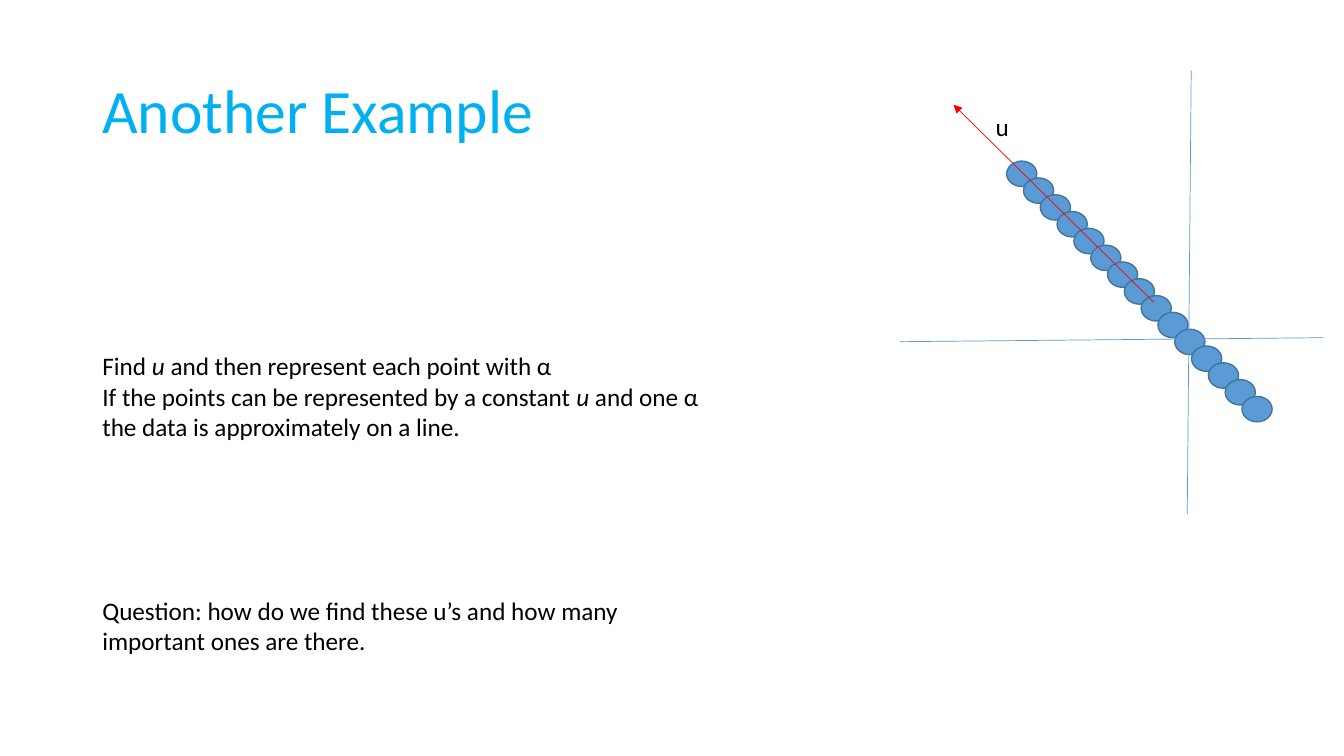
import pptx
import pptx.util
import pptx.dml.color
import pptx.enum.shapes
import pptx.enum.text
import pptx.oxml.ns
from lxml import etree

Cm = pptx.util.Cm
Pt = pptx.util.Pt


def paint(color, value):
    color.rgb = pptx.dml.color.RGBColor.from_string(value)


def write(left, top, width, height, lines, size, value):
    box = slide.shapes.add_textbox(Cm(left), Cm(top), Cm(width), Cm(height))
    frame = box.text_frame
    frame.word_wrap = True
    for row, line in enumerate(lines):
        para = frame.add_paragraph() if row else frame.paragraphs[0]
        para.font.name = "Calibri"
        para.font.size = Pt(size)
        paint(para.font.color, value)
        for text, slant in line:
            run = para.add_run()
            run.text = text
            if slant:
                run.font.italic = True
    return frame


deck = pptx.Presentation()
deck.slide_width = Cm(33.87)
deck.slide_height = Cm(19.05)
slide = deck.slides.add_slide(deck.slide_layouts[6])

title = write(2.33, 1.01, 29.21, 3.68, [[("Another Example", False)]], 44, "00B0F0")
title.vertical_anchor = pptx.enum.text.MSO_ANCHOR.MIDDLE
title.paragraphs[0].line_spacing = 0.9

count = 15
step = 5.93 / (count - 1)
for dot in range(count):
    oval = slide.shapes.add_shape(
        pptx.enum.shapes.MSO_SHAPE.OVAL,
        Cm(25.37 + dot * step), Cm(4.06 + dot * step), Cm(0.76), Cm(0.64))
    oval.shadow.inherit = False
    oval.fill.solid()
    paint(oval.fill.fore_color, "5B9BD5")
    paint(oval.line.color, "43739E")
    oval.line.width = Pt(1)

lines = [
    (29.08, 7.62, 24.03, 2.64, "FF0000", True),
    (30.02, 1.78, 29.92, 12.95, "5B9BD5", False),
    (33.35, 8.51, 22.68, 8.61, "5B9BD5", False),
]
for left, top, right, low, value, arrow in lines:
    link = slide.shapes.add_connector(
        pptx.enum.shapes.MSO_CONNECTOR.STRAIGHT, Cm(left), Cm(top), Cm(right), Cm(low))
    paint(link.line.color, value)
    link.line.width = Pt(0.5)
    if arrow:
        etree.SubElement(link.line._get_or_add_ln(),
                         pptx.oxml.ns.qn("a:tailEnd"), type="triangle")
    etree.SubElement(link._element.spPr, pptx.oxml.ns.qn("a:effectLst"))

label = write(24.84, 2.67, 0.86, 1.02, [[("u", False)]], 18, "000000")
label.word_wrap = False

body = write(2.33, 8.71, 16.13, 7.95, [
    [("Find ", False), ("u ", True), ("and then represent each point with α", False)],
    [("If the points can be represented by a constant ", False), ("u ", True),
     ("and one α the data is approximately on a line.", False)],
    [("Question: how do we find these u’s and how many important ones are there.", False)],
], 18, "000000")
body.paragraphs[-1].space_before = Pt(110)

deck.save("out.pptx")
